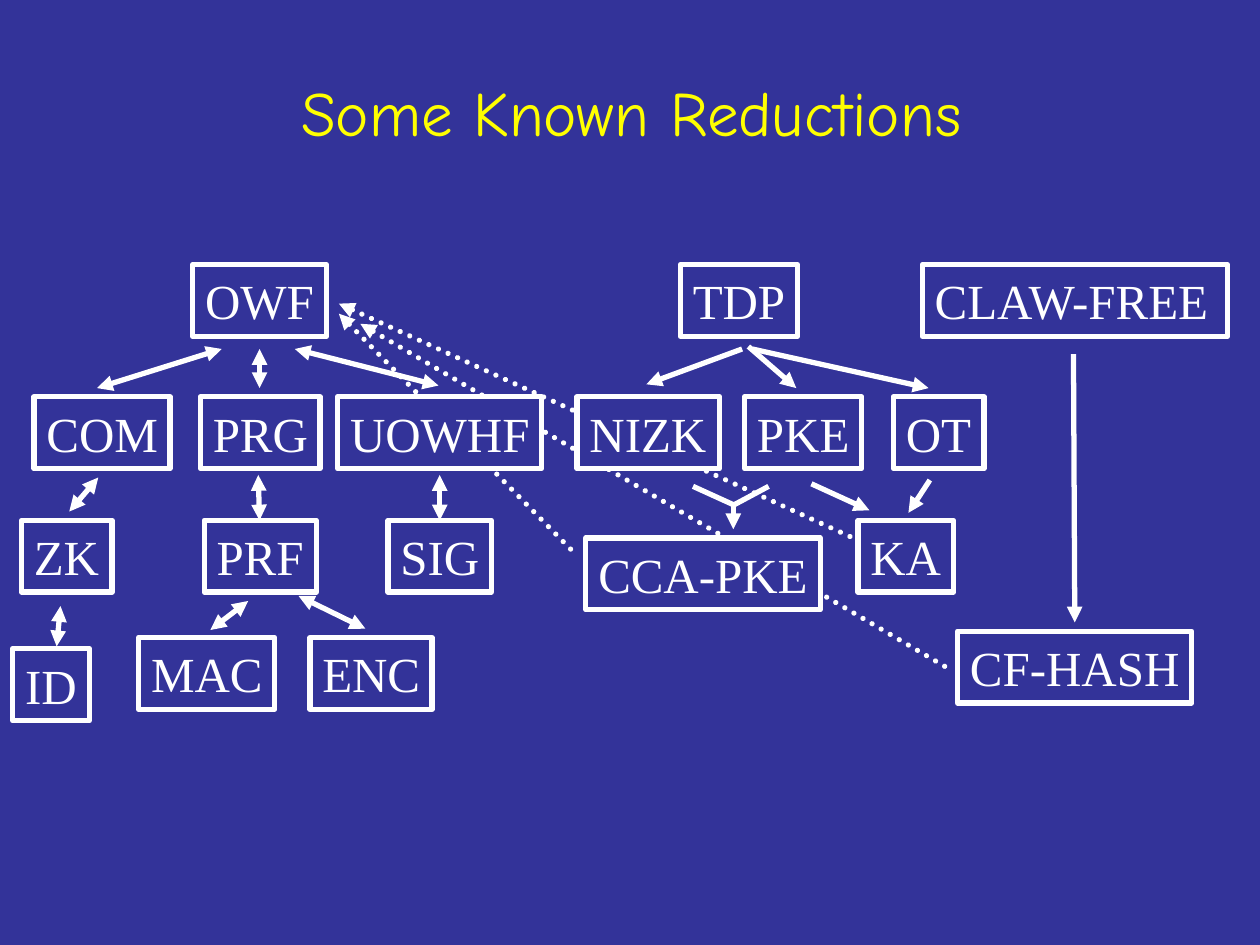
from pptx import Presentation
from pptx.dml.color import RGBColor
from pptx.enum.dml import MSO_LINE
from pptx.enum.shapes import MSO_CONNECTOR, MSO_SHAPE
from pptx.enum.text import MSO_ANCHOR, MSO_AUTO_SIZE, PP_ALIGN
from pptx.oxml.ns import qn
from pptx.util import Inches, Pt
from lxml.etree import SubElement

BLUE = RGBColor(0x33, 0x33, 0x99)
WHITE = RGBColor(0xFF, 0xFF, 0xFF)
YELLOW = RGBColor(0xFF, 0xFF, 0x00)

STROKE = Pt(3)
HIGH = 0.57
ROW = 1.05
LOW = 2.03
FILLED = {"UOWHF", "CCA-PKE", "NIZK"}

INSET = {
    "margin_left": Inches(0.1), "margin_right": 0,
    "margin_top": Inches(0.05), "margin_bottom": Inches(0.05),
    "word_wrap": True, "auto_size": MSO_AUTO_SIZE.NONE,
    "vertical_anchor": MSO_ANCHOR.TOP,
}
HEAD = {
    "word_wrap": True, "auto_size": MSO_AUTO_SIZE.NONE,
    "vertical_anchor": MSO_ANCHOR.MIDDLE,
}
LABEL = {"name": "Times New Roman", "size": Pt(28)}
TITLE = {"name": "Comic Neue", "size": Pt(36)}

BOTH = ("headEnd", "tailEnd")
START = ("headEnd",)
END = ("tailEnd",)
PLAIN = ()

OWF_NODES = [
    ("OWF", 1.43, 0, 1.06),
    ("COM", 0.17, ROW, 1.08),
    ("PRG", 1.49, ROW, 0.95),
    ("UOWHF", 2.58, ROW, 1.62),
    ("ZK", 0.07, LOW, 0.72),
    ("PRF", 1.52, LOW, 0.89),
    ("SIG", 2.98, LOW, 0.82),
    ("ID", 0, 3.05, 0.61),
    ("MAC", 1, 2.96, 1.08),
    ("ENC", 2.36, 2.96, 0.97),
]
OWF_LINKS = [
    (1.96, 0.67, 1.96, 0.98, BOTH),
    (1.66, 0.67, 0.67, 0.98, BOTH),
    (2.24, 0.67, 3.38, 0.96, BOTH),
    (0.68, 1.69, 0.45, 1.96, BOTH),
    (1.95, 1.67, 1.96, 2.03, BOTH),
    (3.39, 1.67, 3.39, 2.03, BOTH),
    (0.38, 2.71, 0.35, 3.03, BOTH),
    (1.87, 2.67, 1.57, 2.9, BOTH),
    (2.27, 2.63, 2.8, 2.89, BOTH),
]
TDP_NODES = [
    ("TDP", 0.82, 0, 0.93),
    ("NIZK", 0, ROW, 1.13),
    ("PKE", 1.33, ROW, 0.93),
    ("OT", 2.51, ROW, 0.72),
    ("KA", 2.23, LOW, 0.76),
    ("CCA-PKE", 0.07, 2.17, 1.86),
]
TDP_LINKS = [
    (1.31, 0.67, 0.55, 0.95, END),
    (1.36, 0.65, 1.74, 0.98, END),
    (1.39, 0.67, 2.79, 0.98, END),
    (1.86, 1.74, 2.32, 1.95, END),
    (2.8, 1.71, 2.63, 1.97, END),
    (0.92, 1.76, 1.25, 1.91, PLAIN),
    (1.52, 1.76, 1.24, 1.91, PLAIN),
    (1.24, 1.91, 1.24, 2.1, END),
]
CLAW_NODES = [("CLAW-FREE", 0, 0, 2.42), ("CF-HASH", 0.28, 2.91, 1.86)]
CLAW_LINKS = [(1.2, 0.71, 1.21, 2.84, END)]
DOTTED = [
    (0, 0.08, 1.86, 1.97),
    (0.17, 0.16, 4.81, 2.88),
    (0, 0, 4.06, 1.85),
]


def apply(item, style):
    for key, value in style.items():
        setattr(item, key, value)


def add_link(slide, x1, y1, x2, y2, ends, dotted=False):
    link = slide.shapes.add_connector(
        MSO_CONNECTOR.STRAIGHT, Inches(x1), Inches(y1), Inches(x2), Inches(y2))
    link.line.color.rgb = WHITE
    link.line.width = STROKE
    stroke = link.line._get_or_add_ln()
    if dotted:
        link.line.dash_style = MSO_LINE.ROUND_DOT
        stroke.set("cap", "rnd")
    for end in ends:
        SubElement(stroke, qn("a:" + end), type="triangle")
    SubElement(link._element.spPr, qn("a:effectLst"))


def add_node(slide, text, x, y, wide):
    node = slide.shapes.add_shape(
        MSO_SHAPE.RECTANGLE, Inches(x), Inches(y), Inches(wide), Inches(HIGH))
    node.shadow.inherit = False
    if text in FILLED:
        node.fill.solid()
        node.fill.fore_color.rgb = BLUE
    else:
        node.fill.background()
    node.line.color.rgb = WHITE
    node.line.width = STROKE
    frame = node.text_frame
    apply(frame, INSET)
    frame.text = text
    para = frame.paragraphs[0]
    para.alignment = PP_ALIGN.LEFT
    apply(para.runs[0].font, LABEL)
    para.runs[0].font.color.rgb = WHITE


def add_title(slide, left, top, wide, high):
    title = slide.shapes.title
    apply(title, {"left": Inches(left), "top": Inches(top),
                  "width": Inches(wide), "height": Inches(high)})
    frame = title.text_frame
    apply(frame, HEAD)
    frame.text = "Some Known Reductions"
    para = frame.paragraphs[0]
    para.alignment = PP_ALIGN.CENTER
    apply(para.runs[0].font, TITLE)
    para.runs[0].font.color.rgb = YELLOW


def add_dotted(slide, left, top):
    for x1, y1, x2, y2 in DOTTED:
        add_link(slide, left + x1, top + y1, left + x2, top + y2, START, True)


def add_tree(slide, left, top, nodes, links):
    for text, x, y, wide in nodes:
        add_node(slide, text, left + x, top + y, wide)
    for x1, y1, x2, y2, ends in links:
        add_link(slide, left + x1, top + y1, left + x2, top + y2, ends)


def main():
    deck = Presentation()
    deck.slide_width, deck.slide_height = Inches(10), Inches(7.5)
    slide = deck.slides.add_slide(deck.slide_layouts[5])
    slide.background.fill.solid()
    slide.background.fill.fore_color.rgb = BLUE
    add_title(slide, 0.76, 0.26, 8.5, 1.25)
    add_dotted(slide, 2.69, 2.41)
    add_tree(slide, 0.1, 2.1, OWF_NODES, OWF_LINKS)
    add_tree(slide, 4.58, 2.1, TDP_NODES, TDP_LINKS)
    add_tree(slide, 7.32, 2.1, CLAW_NODES, CLAW_LINKS)
    deck.save("out.pptx")


if __name__ == "__main__":
    main()
